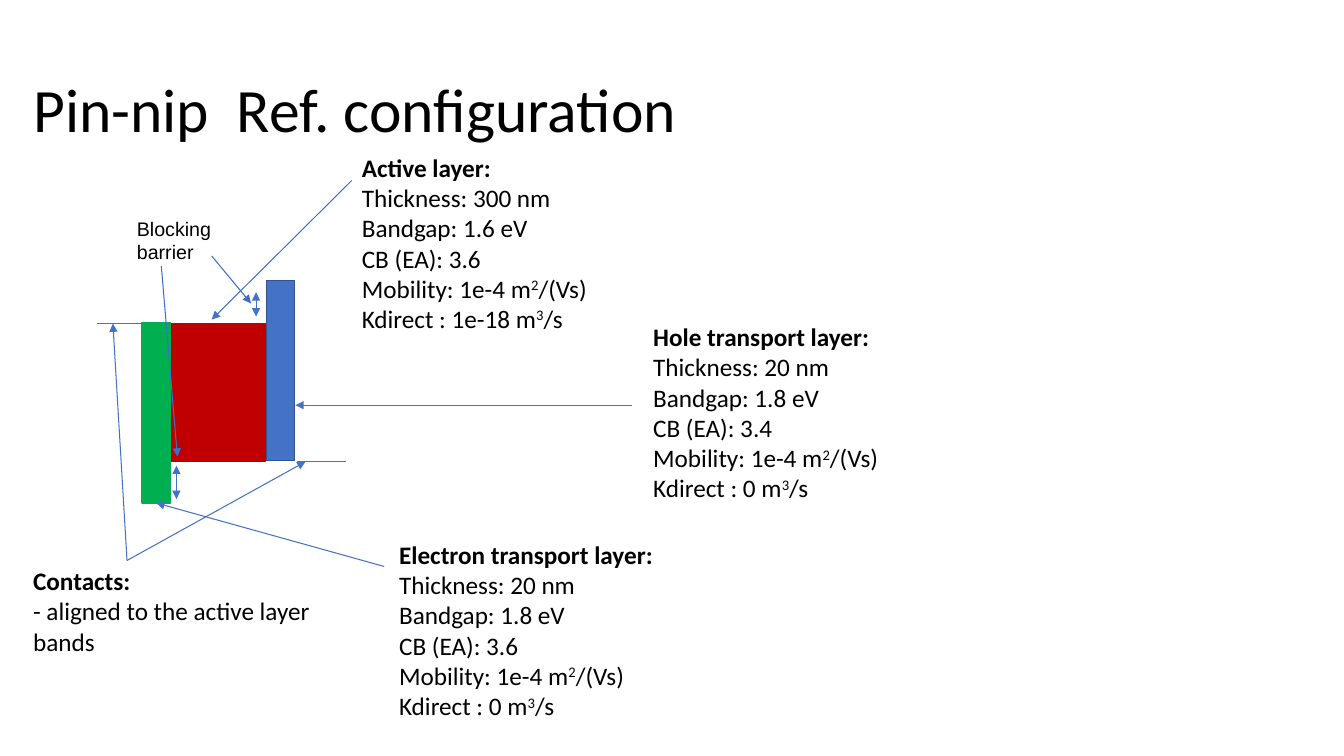
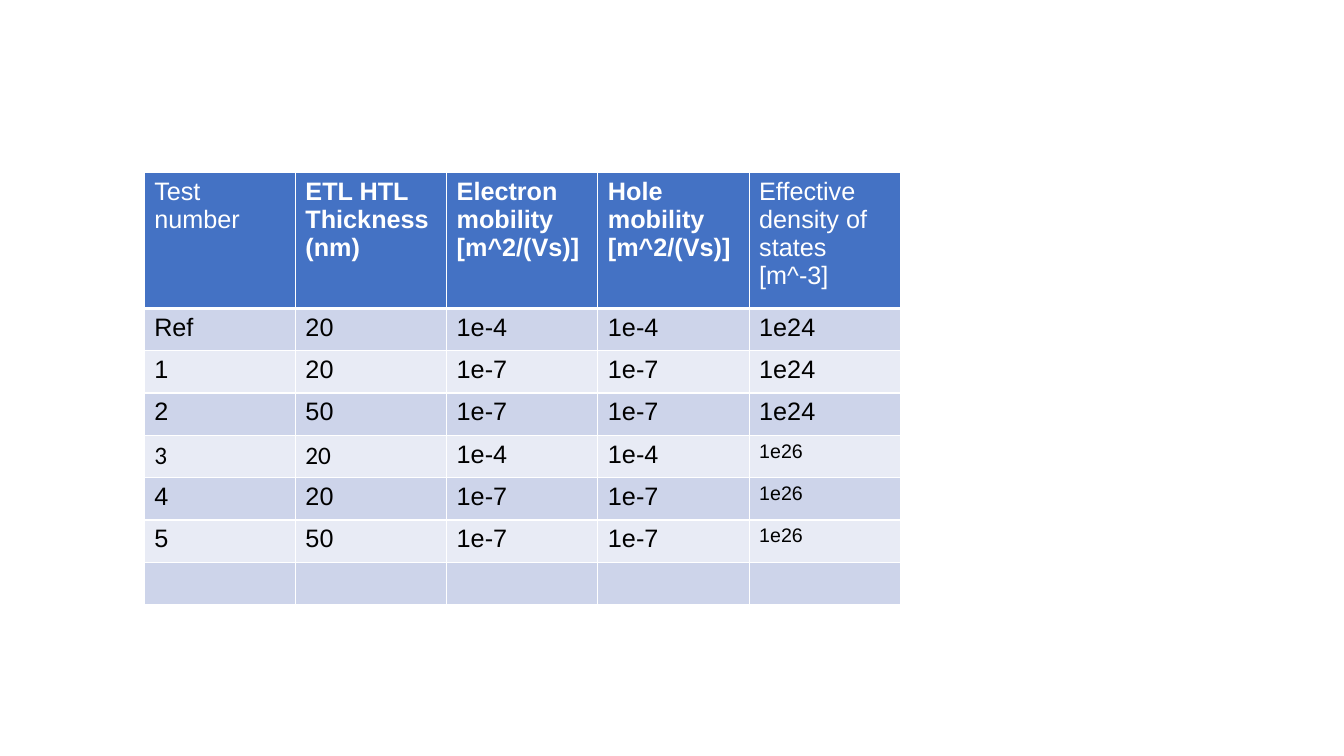
from lxml import etree
from pptx import Presentation
from pptx import util as u
from pptx.dml.color import RGBColor
from pptx.enum import shapes, text
from pptx.oxml.ns import qn

PX = 9144
BLACK = RGBColor(0x00, 0x00, 0x00)
WHITE = RGBColor(0xFF, 0xFF, 0xFF)
RED = RGBColor(0xC0, 0x00, 0x00)
GREEN = RGBColor(0x00, 0xB0, 0x50)
BLUE = RGBColor(0x44, 0x72, 0xC4)
BARRIER_BLUE = RGBColor(0x3E, 0x6E, 0xC2)
EDGE_BLUE = RGBColor(0x31, 0x53, 0x8F)
BANDS = (RGBColor(0xCD, 0xD4, 0xEA), RGBColor(0xE8, 0xEB, 0xF5))

SLIDE_SIZE = (1333, 750)
COLUMN_WIDTH = 150
HEADER_HEIGHT = 135
ROW_HEIGHT = 42

LAYER_NOTES = [
    ("Active layer:", (349, 146), 300, "1.6", "3.6", "1e-18"),
    ("Electron transport layer:", (386, 530), 20, "1.8", "3.6", "0"),
    ("Hole transport layer:", (638, 314), 20, "1.8", "3.4", "0"),
]
HEADINGS = [
    "Test number",
    "ETL HTL Thickness (nm)",
    "Electron mobility [m^2/(Vs)]",
    "Hole mobility [m^2/(Vs)]",
    "Effective density of states [m^-3]",
]
BOLD_HEADINGS = HEADINGS[1:4]
TESTS = [
    ("Ref", "20", "1e-4", "1e-4", "1e24"),
    ("1", "20", "1e-7", "1e-7", "1e24"),
    ("2", "50", "1e-7", "1e-7", "1e24"),
    ("3", "20", "1e-4", "1e-4", "1e26"),
    ("4", "20", "1e-7", "1e-7", "1e26"),
    ("5", "50", "1e-7", "1e-7", "1e26"),
    ("", "", "", "", ""),
]


def px(*lengths):
    return [length * PX for length in lengths]


def write(frame, lines, size=18, font="Calibri", color=BLACK, bold=False,
          bold_first=False, spacing=None):
    """Fill a text frame; text between bars is superscript."""
    for index, line in enumerate(lines):
        paragraph = frame.paragraphs[0] if index == 0 else frame.add_paragraph()
        paragraph.alignment = text.PP_ALIGN.LEFT
        paragraph.line_spacing = spacing
        for part, words in enumerate(line.split("|")):
            run = paragraph.add_run()
            run.text = words
            run.font.size = u.Pt(size)
            run.font.name = font
            run.font.color.rgb = color
            run.font.bold = bold or (bold_first and index == 0)
            if part % 2:
                run.font._element.set("baseline", "30000")


def add_note(slide, box, lines, **style):
    frame = slide.shapes.add_textbox(*px(*box)).text_frame
    frame.word_wrap = True
    frame.auto_size = text.MSO_AUTO_SIZE.SHAPE_TO_FIT_TEXT
    write(frame, lines, **style)


def add_layer(slide, box, fill, edge):
    layer = slide.shapes.add_shape(shapes.MSO_SHAPE.RECTANGLE, *px(*box))
    layer.shadow.inherit = False
    layer.fill.solid()
    layer.fill.fore_color.rgb = fill
    layer.line.color.rgb = edge
    layer.line.width = u.Pt(1)
    return layer


def add_line(slide, start, end, ends=("tailEnd",), color=BLUE):
    connector = slide.shapes.add_connector(
        shapes.MSO_CONNECTOR.STRAIGHT, *px(*start, *end))
    connector.line.color.rgb = color
    connector.line.width = u.Pt(0.75)
    properties = connector._element.spPr
    outline = properties.find(qn("a:ln"))
    for name in ends:
        etree.SubElement(outline, qn(f"a:{name}"), type="triangle")
    etree.SubElement(properties, qn("a:effectLst"))
    return connector


def set_borders(cell, top, bottom):
    properties = cell._tc.get_or_add_tcPr()
    for side, points in (("L", 1), ("R", 1), ("T", top), ("B", bottom)):
        border = etree.SubElement(
            properties, qn(f"a:ln{side}"), w=str(u.Pt(points)))
        fill = etree.SubElement(border, qn("a:solidFill"))
        etree.SubElement(fill, qn("a:srgbClr"), val=str(WHITE))


def fill_cell(cell, words, fill, top=1, bottom=1, **style):
    set_borders(cell, top, bottom)
    cell.fill.solid()
    cell.fill.fore_color.rgb = fill
    if words:
        write(cell.text_frame, [words], **style)


def build_configuration(deck):
    slide = deck.slides.add_slide(deck.slide_layouts[5])
    title = slide.shapes.title
    title.left, title.top, title.width, title.height = px(23, 39, 1150, 145)
    title.text_frame.vertical_anchor = text.MSO_ANCHOR.MIDDLE
    write(title.text_frame, ["Pin-nip  Ref. configuration"], size=44, spacing=0.9)

    add_layer(slide, (169, 321, 94, 137), RED, RED)
    electron_layer = add_layer(slide, (141, 320, 28, 179), GREEN, GREEN)
    add_layer(slide, (264, 278, 28, 179), BLUE, EDGE_BLUE)

    for heading, corner, thickness, bandgap, affinity, kdirect in LAYER_NOTES:
        add_note(slide, (*corner, 295, 192), [
            heading,
            f"Thickness: {thickness} nm",
            f"Bandgap: {bandgap} eV",
            f"CB (EA): {affinity}",
            "Mobility: 1e-4 m|2|/(Vs)",
            f"Kdirect : {kdirect} m|3|/s",
        ], bold_first=True)
    add_note(slide, (23, 556, 295, 101),
             ["Contacts:", "- aligned to the active layer bands"],
             bold_first=True)
    add_note(slide, (126, 210, 110, 57), ["Blocking barrier"],
             size=14, font="Arial")

    for start, end in (((144, 321), (96, 321)), ((343, 458), (295, 458))):
        add_line(slide, start, end, ends=())
    contacts = (126, 556)
    for start, end in ((contacts, (303, 458)), (contacts, (112, 321)),
                       ((349, 179), (210, 317)), ((627, 402), (293, 402))):
        add_line(slide, start, end)
    electron_arrow = add_line(slide, (381, 562), (155, 499))
    electron_arrow.end_connect(electron_layer, 2)
    for start, end in (((254, 290), (254, 314)), ((175, 462), (175, 495))):
        add_line(slide, start, end, ends=("headEnd", "tailEnd"))
    for start, end in (((210, 254), (249, 301)), ((160, 264), (176, 453))):
        add_line(slide, start, end, color=BARRIER_BLUE)


def build_tests(deck):
    slide = deck.slides.add_slide(deck.slide_layouts[6])
    columns, rows = len(HEADINGS), len(TESTS) + 1
    table = slide.shapes.add_table(rows, columns, *px(
        143, 171, columns * COLUMN_WIDTH,
        HEADER_HEIGHT + len(TESTS) * ROW_HEIGHT)).table
    for column in table.columns:
        column.width = COLUMN_WIDTH * PX
    for index, row in enumerate(table.rows):
        row.height = (ROW_HEIGHT if index else HEADER_HEIGHT) * PX

    for column, heading in enumerate(HEADINGS):
        fill_cell(table.cell(0, column), heading, BLUE, bottom=3, font="Arial",
                  color=WHITE, bold=heading in BOLD_HEADINGS)
    for row, test in enumerate(TESTS, 1):
        for column, value in enumerate(test):
            fill_cell(table.cell(row, column), value, BANDS[(row - 1) % 2],
                      top=3 if row == 1 else 1,
                      size=14 if value == "1e26" else 18,
                      font="Calibri" if test[0] == "3" and column < 2 else "Arial")


def main():
    deck = Presentation()
    deck.slide_width, deck.slide_height = px(*SLIDE_SIZE)
    build_configuration(deck)
    build_tests(deck)
    deck.save("out.pptx")


if __name__ == "__main__":
    main()
